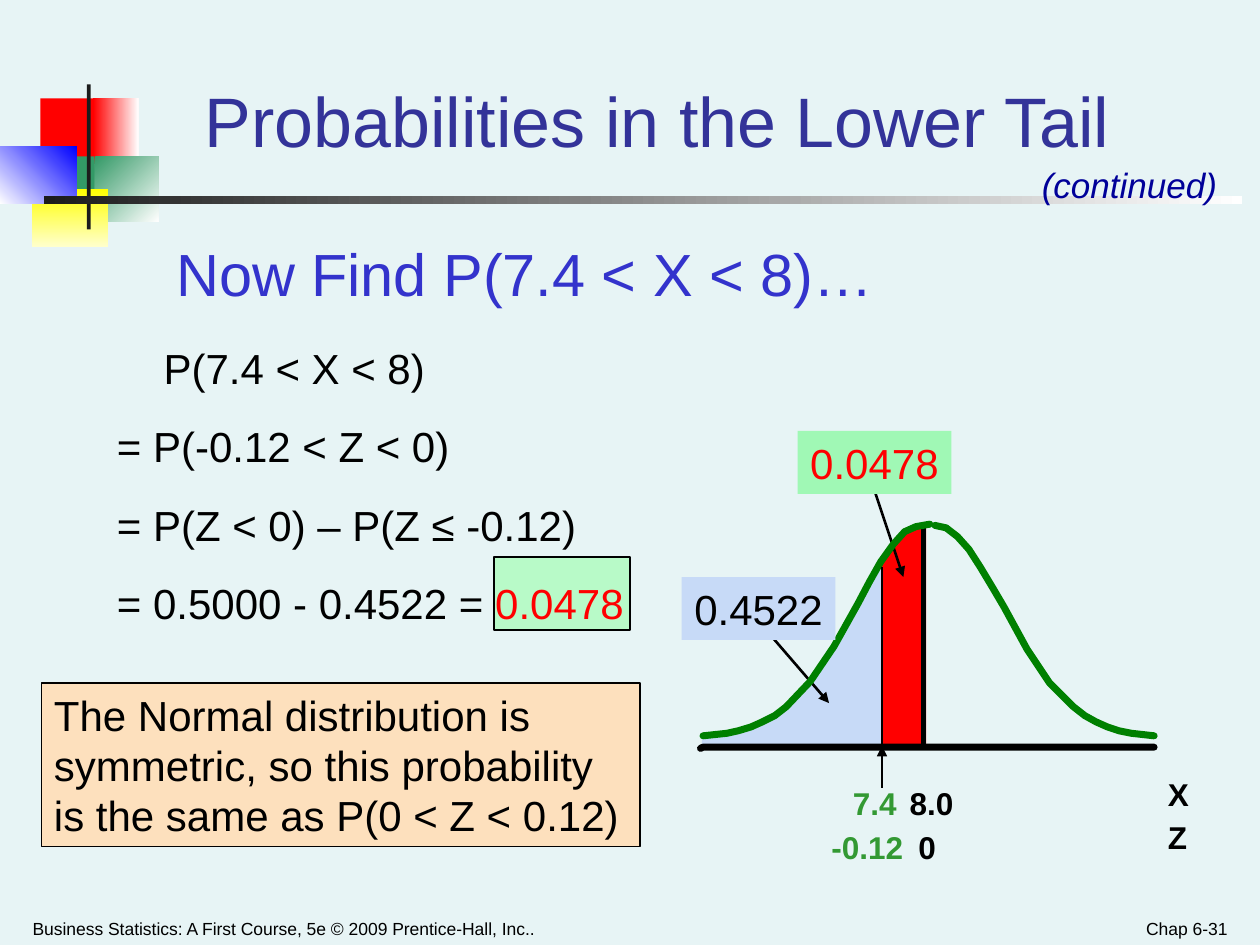
from dataclasses import dataclass
from typing import Optional

from lxml import etree
from pptx import Presentation
from pptx import util as u
from pptx.dml.color import RGBColor
from pptx.enum import shapes, text
from pptx.oxml import ns

BACKGROUND = RGBColor(0xE7, 0xF4, 0xF5)
BLACK = RGBColor(0, 0, 0)
CHARCOAL = RGBColor(0x1C, 0x1C, 0x1C)
WHITE = RGBColor(0xFF, 0xFF, 0xFF)
RED = RGBColor(0xFF, 0, 0)
TEAL = RGBColor(0x33, 0x99, 0x66)
YELLOW = RGBColor(0xFF, 0xFF, 0)
CREAM = RGBColor(0xFF, 0xFF, 0xCC)
BLUE = RGBColor(0, 0, 0xFF)
INDIGO = RGBColor(0x33, 0x33, 0x99)
VIOLET = RGBColor(0x33, 0x33, 0xCC)
NAVY = RGBColor(0, 0, 0x99)
LABEL_GREEN = RGBColor(0x33, 0x99, 0x33)
CURVE_GREEN = RGBColor(0, 0x80, 0)
PALE_BLUE = RGBColor(0xC7, 0xDA, 0xF7)
MINT = RGBColor(0xA0, 0xF8, 0xB5)
PALE_MINT = RGBColor(0xB8, 0xFA, 0xC8)
PEACH = RGBColor(0xFD, 0xE0, 0xBD)

LEFT, CENTER, RIGHT = text.PP_ALIGN.LEFT, text.PP_ALIGN.CENTER, text.PP_ALIGN.RIGHT
TOP, BOTTOM = text.MSO_ANCHOR.TOP, text.MSO_ANCHOR.BOTTOM
BASE_Y = 5.92
LOWER_X, MEAN_X = 7.0, 7.33

Point = tuple[float, float]


@dataclass
class Block:
    """A rectangle; with an end colour its fill is a gradient."""
    left: float
    top: float
    width: float
    height: float
    fill: RGBColor
    end: Optional[RGBColor] = None
    clockwise: int = 0
    border: float = 0


@dataclass
class Label:
    words: str
    left: float
    top: float
    width: float
    height: float
    size: int
    color: RGBColor = BLACK
    bold: bool = False
    italic: bool = False
    align: text.PP_ALIGN = LEFT
    anchor: text.MSO_ANCHOR = TOP
    wrap: bool = False


ORNAMENT = [
    Block(0.32, 0.78, 0.48, 0.52, RED),
    Block(0.74, 0.78, 0.36, 0.52, RED, WHITE),
    Block(0.75, 1.24, 0.51, 0.52, TEAL, WHITE, 45),
    Block(0.43, 1.24, 0.32, 0.52, TEAL),
    Block(0.25, 1.5, 0.61, 0.46, YELLOW, CREAM, 90),
    Block(0, 1.16, 0.61, 0.46, WHITE, BLUE, 315),
    Block(0.69, 0.67, 0.03, 1.15, CHARCOAL),
    Block(0.35, 1.56, 9.51, 0.06, CHARCOAL, WHITE),
]
HEADINGS = [
    Label("Business Statistics: A First Course, 5e © 2009 Prentice-Hall, Inc..",
          0.16, 7.15, 5.08, 0.35, 10, anchor=BOTTOM, wrap=True),
    Label("Chap 6-31", 7.5, 7.15, 2.34, 0.35, 10, align=RIGHT, anchor=BOTTOM, wrap=True),
    Label("Probabilities in the Lower Tail", 1.18, 0.25, 8.07, 1.08, 40, INDIGO,
          align=CENTER, anchor=BOTTOM, wrap=True),
    Label("Now Find P(7.4 < X < 8)…", 1.3, 1.83, 8.4, 0.7, 34, VIOLET, wrap=True),
    Label("(continued)", 8.17, 1.25, 1.67, 0.44, 20, NAVY, italic=True, wrap=True),
]
AXIS_LABELS = [
    Label("X", 9.17, 6.1, 0.42, 0.4, 18, bold=True, wrap=True),
    Label("Z", 9.17, 6.44, 0.42, 0.4, 18, bold=True, wrap=True),
    Label("7.4", 6.67, 6.17, 0.55, 0.4, 18, LABEL_GREEN, bold=True),
    Label("8.0", 7.12, 6.17, 0.55, 0.4, 18, bold=True),
    Label("-0.12", 6.5, 6.52, 0.77, 0.4, 18, LABEL_GREEN, bold=True),
    Label("0", 7.19, 6.52, 0.34, 0.4, 18, bold=True),
]
LOWER_AREA = [
    (7.03, BASE_Y), (7.03, 4.42), (6.94, 4.51), (6.82, 4.75), (6.75, 4.89), (6.69, 4.98),
    (6.6, 5.16), (6.5, 5.31), (6.37, 5.5), (6.25, 5.6), (6.09, 5.72), (5.84, 5.8),
    (5.57, 5.84), (5.57, BASE_Y)]
MIDDLE_AREA = [
    (7.01, BASE_Y), (7, 4.45), (7.05, 4.39), (7.11, 4.3), (7.17, 4.24), (7.22, 4.2),
    (7.26, 4.17), (7.35, 4.17), (7.35, BASE_Y)]
RIGHT_CURVE = [
    (9.16, 5.84), (8.98, 5.82), (8.88, 5.8), (8.79, 5.77), (8.7, 5.73), (8.61, 5.68),
    (8.52, 5.61), (8.33, 5.42), (8.15, 5.15), (7.97, 4.82), (7.87, 4.65), (7.78, 4.5),
    (7.69, 4.36), (7.6, 4.26), (7.51, 4.19), (7.42, 4.17)]
LEFT_CURVE = [
    (5.58, 5.84), (5.77, 5.82), (5.86, 5.8), (5.96, 5.77), (6.05, 5.73), (6.15, 5.68),
    (6.24, 5.61), (6.43, 5.41), (6.62, 5.13), (6.81, 4.79), (6.9, 4.62), (6.99, 4.46),
    (7.09, 4.32), (7.18, 4.22), (7.27, 4.18), (7.38, 4.16)]
BASELINE = [(5.56, 5.94), (5.58, 5.93), (9.16, 5.93)]


def draw_block(page, block: Block):
    rect = page.shapes.add_shape(
        shapes.MSO_SHAPE.RECTANGLE,
        *map(u.Inches, (block.left, block.top, block.width, block.height)))
    rect.shadow.inherit = False
    if block.end is None:
        rect.fill.solid()
        rect.fill.fore_color.rgb = block.fill
    else:
        rect.fill.gradient()
        rect.fill.gradient_angle = (360 - block.clockwise) % 360
        for stop, color in zip(rect.fill.gradient_stops, (block.fill, block.end)):
            stop.color.rgb = color
    if block.border:
        rect.line.color.rgb = BLACK
        rect.line.width = u.Pt(block.border)
    else:
        rect.line.fill.background()
    return rect


def style_span(span, size: int, color: RGBColor, bold: bool = False, italic: bool = False) -> None:
    span.font.name = "Arial"
    span.font.size = u.Pt(size)
    span.font.color.rgb = color
    span.font.bold, span.font.italic = bold, italic


def draw_label(page, label: Label, fill: Optional[RGBColor] = None, border: float = 0) -> None:
    place = (label.left, label.top, label.width, label.height)
    if fill is None:
        box = page.shapes.add_textbox(*map(u.Inches, place))
    else:
        box = draw_block(page, Block(*place, fill, border=border))
    frame = box.text_frame
    frame.text = label.words
    frame.word_wrap = label.wrap
    frame.vertical_anchor = label.anchor
    para = frame.paragraphs[0]
    para.alignment = label.align
    style_span(para.runs[0], label.size, label.color, label.bold, label.italic)


def draw_outline(page, points: list[Point], fill: Optional[RGBColor] = None,
                 line: Optional[RGBColor] = None) -> None:
    corners = [(u.Inches(x), u.Inches(y)) for x, y in points]
    builder = page.shapes.build_freeform(*corners[0])
    builder.add_line_segments(corners[1:], close=fill is not None)
    outline = builder.convert_to_shape()
    outline.shadow.inherit = False
    if fill is None:
        outline.fill.background()
        outline.line.color.rgb = line
        outline.line.width = u.Pt(4)
        outline.line._get_or_add_ln().set("cap", "rnd")
    else:
        outline.fill.solid()
        outline.fill.fore_color.rgb = fill
        outline.line.fill.background()


def draw_line(page, start: Point, end: Point, width: float, arrow: bool = False) -> None:
    line = page.shapes.add_connector(
        shapes.MSO_CONNECTOR.STRAIGHT, *map(u.Inches, (*start, *end)))
    line.line.color.rgb = BLACK
    line.line.width = u.Pt(width)
    if arrow:
        etree.SubElement(line.line._get_or_add_ln(), ns.qn("a:tailEnd"), type="triangle")
    etree.SubElement(line._element.spPr, ns.qn("a:effectLst"))


def draw_steps(page) -> None:
    steps = [["P(7.4 < X < 8)"], ["= P(-0.12 < Z < 0)"], ["= P(Z < 0) – P(Z ≤ -0.12)"],
             ["= 0.5000 - 0.4522 = ", "0.0478"]]
    box = page.shapes.add_textbox(*map(u.Inches, (0.83, 2.67, 4.33, 2.33)))
    frame = box.text_frame
    frame.word_wrap = True
    for index, parts in enumerate(steps):
        para = frame.add_paragraph() if index else frame.paragraphs[0]
        if index:
            para.space_before = u.Pt(16)
        for part, color in zip(parts, (BLACK, RED)):
            span = para.add_run()
            span.text = part
            style_span(span, 24, color)
    # The first expression lines up with those after the equals signs
    frame.paragraphs[0]._p.get_or_add_pPr().set("marL", str(u.Inches(0.37)))


def main() -> None:
    deck = Presentation()
    deck.slide_width, deck.slide_height = u.Inches(10), u.Inches(7.5)
    page = deck.slides.add_slide(deck.slide_layouts[6])
    page.background.fill.solid()
    page.background.fill.fore_color.rgb = BACKGROUND

    # Corner ornament and rule
    for block in ORNAMENT:
        draw_block(page, block)

    # Shaded areas with their pointers
    draw_outline(page, LOWER_AREA, fill=PALE_BLUE)
    draw_line(page, (6.08, 5), (6.58, 5.58), 1.5, arrow=True)
    draw_outline(page, MIDDLE_AREA, fill=RED)
    draw_line(page, (6.92, 3.83), (7.17, 4.58), 1.5, arrow=True)

    # Headings and calculation
    draw_block(page, Block(3.92, 4.42, 1.08, 0.58, PALE_MINT, border=1.5))
    for label in HEADINGS:
        draw_label(page, label)
    draw_steps(page)

    # Normal curve and axis
    draw_line(page, (MEAN_X, 4.17), (MEAN_X, BASE_Y), 2.5)
    draw_outline(page, RIGHT_CURVE, line=CURVE_GREEN)
    draw_outline(page, LEFT_CURVE, line=CURVE_GREEN)
    draw_outline(page, BASELINE, line=BLACK)
    draw_line(page, (LOWER_X, 6.25), (LOWER_X, BASE_Y), 1, arrow=True)
    draw_line(page, (LOWER_X, 4.5), (LOWER_X, BASE_Y), 1)
    for label in AXIS_LABELS:
        draw_label(page, label)

    # Probability tags and closing remark
    draw_label(page, Label("0.0478", 6.33, 3.42, 1.22, 0.5, 24, RED, align=CENTER), MINT)
    draw_label(page, Label("0.4522", 5.41, 4.58, 1.22, 0.5, 24, align=CENTER), PALE_BLUE)
    draw_label(page, Label(
        "The Normal distribution is symmetric, so this probability is the same as P(0 < Z < 0.12)",
        0.33, 5.42, 4.75, 1.3, 24, wrap=True), PEACH, border=1)
    deck.save("out.pptx")


if __name__ == "__main__":
    main()
